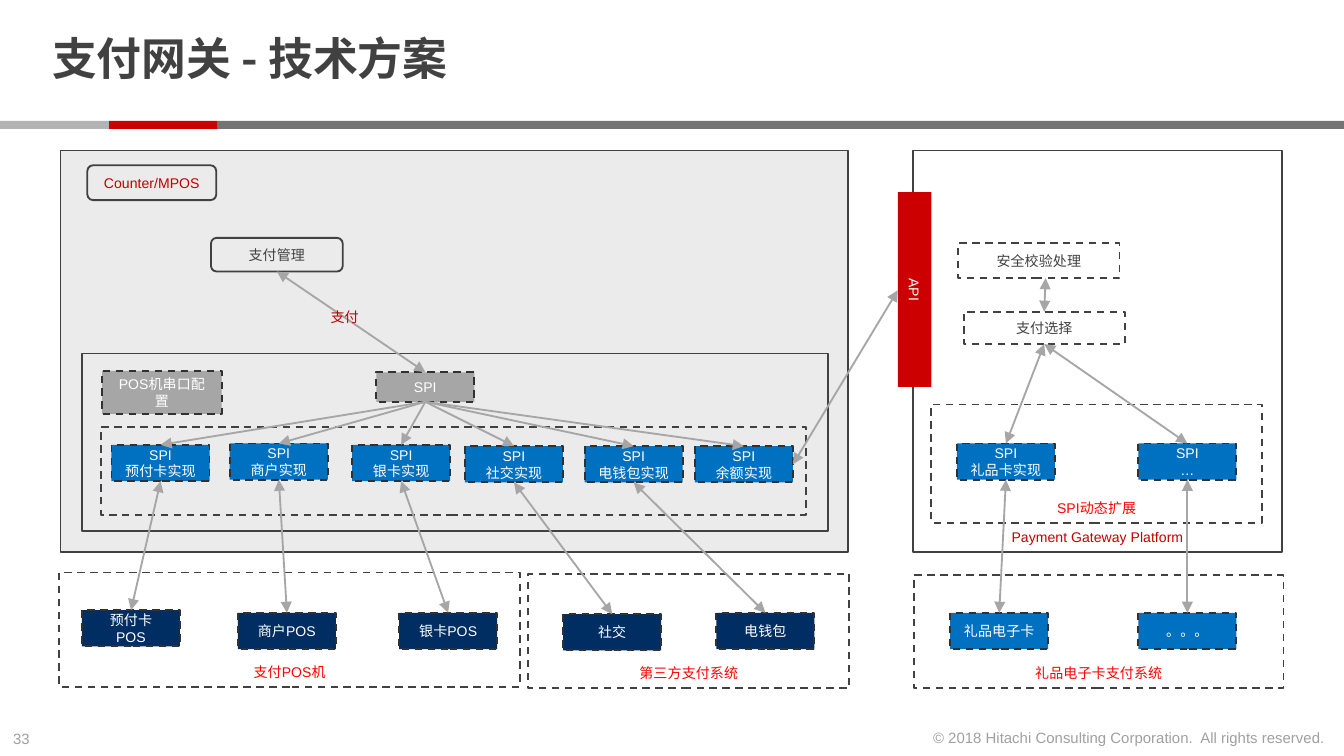
import pptx
import pptx.util
import pptx.dml.color
import pptx.enum.dml
import pptx.enum.shapes
import pptx.enum.text
import pptx.oxml
import pptx.oxml.ns

Inches = pptx.util.Inches
Pt = pptx.util.Pt
RGB = pptx.dml.color.RGBColor
KIND = pptx.enum.shapes.MSO_SHAPE
ALIGN = pptx.enum.text.PP_ALIGN
ANCHOR = pptx.enum.text.MSO_ANCHOR
CJK = "Noto Sans CJK SC"
TOP, LEFT, BOTTOM, RIGHT = range(4)
WIDE, HIGH = 0.73, 0.27

COLORS = {
    "ink": "414141", "edge": "313131", "white": "FFFFFF", "pale": "EBEBEB",
    "gray": "A6A6A6", "faint": "A0A0A0", "light": "B3B3B3", "dark": "737373",
    "brand": "CC0000", "deep": "C00000", "red": "FF0000",
    "blue": "0070C0", "navy": "002E62",
}


def color(name):
    return RGB.from_string(COLORS[name])


def child(node, tag, **attrs):
    item = node.makeelement(pptx.oxml.ns.qn(tag), attrs)
    node.append(item)
    return item


def write(shape, text, size=7.5, ink="ink", bold=False, font="Arial",
          align=ALIGN.CENTER, anchor=ANCHOR.MIDDLE, wrap=True, space=None):
    frame = shape.text_frame
    frame.text = text
    frame.word_wrap = wrap
    frame.vertical_anchor = anchor
    for para in frame.paragraphs:
        para.alignment = align
        para.line_spacing = space
        for run in para.runs:
            run.font.size = Pt(size)
            run.font.bold = bold
            run.font.color.rgb = color(ink)
            run.font.name = font
            child(run.font._element, "a:ea", typeface=CJK)
    return frame


def label(slide, area, text, **style):
    return write(slide.shapes.add_textbox(*map(Inches, area)), text, **style)


def box(slide, area, text="", fill=None, line="ink", dash=False,
        kind=KIND.RECTANGLE, **style):
    shape = slide.shapes.add_shape(kind, *map(Inches, area))
    shape.shadow.inherit = False
    if fill:
        shape.fill.solid()
        shape.fill.fore_color.rgb = color(fill)
    else:
        shape.fill.background()
    if line:
        shape.line.color.rgb = color(line)
        shape.line.width = Pt(1)
        if dash:
            shape.line.dash_style = pptx.enum.dml.MSO_LINE.DASH
    else:
        shape.line.fill.background()
    if text:
        write(shape, text, **style)
    return shape


def node(slide, left, top, text, fill, wide=WIDE, high=HIGH):
    return box(slide, (left, top, wide, high), text, fill=fill, line="edge",
               dash=True, ink="white")


def group(slide, area, text="", ink="red", dash=True, **style):
    return box(slide, area, text, ink=ink, dash=dash, anchor=ANCHOR.BOTTOM,
               **style)


def arrow(slide, start, end, out=BOTTOM, into=TOP, both=True):
    spots = [tuple(map(Inches, spot)) if isinstance(spot, tuple) else (0, 0)
             for spot in (start, end)]
    line = slide.shapes.add_connector(
        pptx.enum.shapes.MSO_CONNECTOR.STRAIGHT, *spots[0], *spots[1])
    if not isinstance(start, tuple):
        line.begin_connect(start, out)
    if not isinstance(end, tuple):
        line.end_connect(end, into)
    line.line.color.rgb = color("gray")
    line.line.width = Pt(1)
    stroke = line.line._get_or_add_ln()
    if both:
        child(stroke, "a:headEnd", type="triangle")
    child(stroke, "a:tailEnd", type="triangle")
    child(line._element.spPr, "a:effectLst")


def trim(slide):
    for left, wide, fill in [(1.62, 8.38, "dark"), (0.81, 0.81, "brand"),
                             (0, 0.81, "light")]:
        box(slide, (left, 0.9, wide, 0.06), fill=fill, line=None)
    title = label(slide, (0.29, 0.06, 7.71, 0.8), "支付网关 - 技术方案",
                  size=24, bold=True, font=CJK, align=ALIGN.LEFT, space=0.85)
    title.margin_top = title.margin_bottom = 0
    foot = dict(size=8, ink="faint", anchor=ANCHOR.TOP, wrap=False)
    label(slide, (0, 5.38, 0.34, 0.24), "33", align=ALIGN.LEFT, **foot)
    label(slide, (6.8, 5.37, 3.16, 0.24),
          "© 2018 Hitachi Consulting Corporation.\u00a0 All rights reserved.",
          align=ALIGN.RIGHT, **foot)


def frames(slide):
    group(slide, (0.45, 1.12, 5.86, 2.99), fill="pale", dash=False)
    group(slide, (6.79, 1.12, 2.75, 2.99), "Payment Gateway Platform",
          ink="deep", dash=False)
    group(slide, (0.61, 2.63, 5.55, 1.32), dash=False)
    group(slide, (0.75, 3.18, 5.25, 0.65))
    group(slide, (6.93, 3.01, 2.46, 0.88), "SPI动态扩展")
    group(slide, (0.44, 4.26, 3.43, 0.85), "支付POS机")
    group(slide, (3.93, 4.27, 2.39, 0.85), "第三方支付系统")
    group(slide, (6.8, 4.28, 2.75, 0.84), "礼品电子卡支付系统")


def counter(slide):
    box(slide, (0.65, 1.23, 0.96, 0.26), "Counter/MPOS", ink="deep",
        kind=KIND.ROUNDED_RECTANGLE)
    manage = box(slide, (1.57, 1.77, 0.98, 0.25), "支付管理",
                 kind=KIND.ROUNDED_RECTANGLE)
    node(slide, 0.76, 2.76, "POS机串口配置", "gray", wide=0.89, high=0.32)
    hub = node(slide, 2.8, 2.77, "SPI", "gray", high=0.22)
    arrow(slide, manage, hub)
    label(slide, (2.19, 2.23, 0.75, 0.25), "支付", ink="deep")

    plugs = [
        (0.83, 3.31, "预付卡", (0.61, 4.54, "预付卡POS")),
        (1.71, 3.3, "商户", (1.77, 4.56, "商户POS")),
        (2.62, 3.31, "银卡", (2.97, 4.56, "银卡POS")),
        (3.46, 3.32, "社交", (4.19, 4.57, "社交")),
        (4.35, 3.32, "电钱包", (5.33, 4.56, "电钱包")),
        (5.17, 3.32, "余额", None),
    ]
    for left, top, name, target in plugs:
        plug = node(slide, left, top, f"SPI\n{name}实现", "blue")
        arrow(slide, hub, plug, both=False)
        if target:
            arrow(slide, plug, node(slide, *target, "navy"))
    return plug


def gateway(slide, plug):
    api = box(slide, (6.08, 2.03, 1.45, 0.25), "API", fill="brand",
              line=None, ink="white")
    api.rotation = 90
    arrow(slide, plug, (6.68, 2.16), out=RIGHT)

    box(slide, (7.13, 1.81, 1.2, 0.26), "安全校验处理", dash=True)
    choice = box(slide, (7.17, 2.32, 1.2, 0.24), "支付选择", dash=True)
    arrow(slide, (7.78, 2.07), choice)
    for left, name, low, target in [(7.12, "礼品卡实现", 7.07, "礼品电子卡"),
                                    (8.47, "…", 8.47, "。。。")]:
        card = node(slide, left, 3.3, f"SPI\n{name}", "blue")
        arrow(slide, choice, card)
        arrow(slide, card, node(slide, low, 4.56, target, "blue"))


def main():
    deck = pptx.Presentation()
    deck.slide_width = Inches(10)
    deck.slide_height = deck.slide_width * 9 // 16
    slide = deck.slides.add_slide(deck.slide_layouts[6])
    trim(slide)
    frames(slide)
    plug = counter(slide)
    gateway(slide, plug)
    deck.save("out.pptx")


if __name__ == "__main__":
    main()
